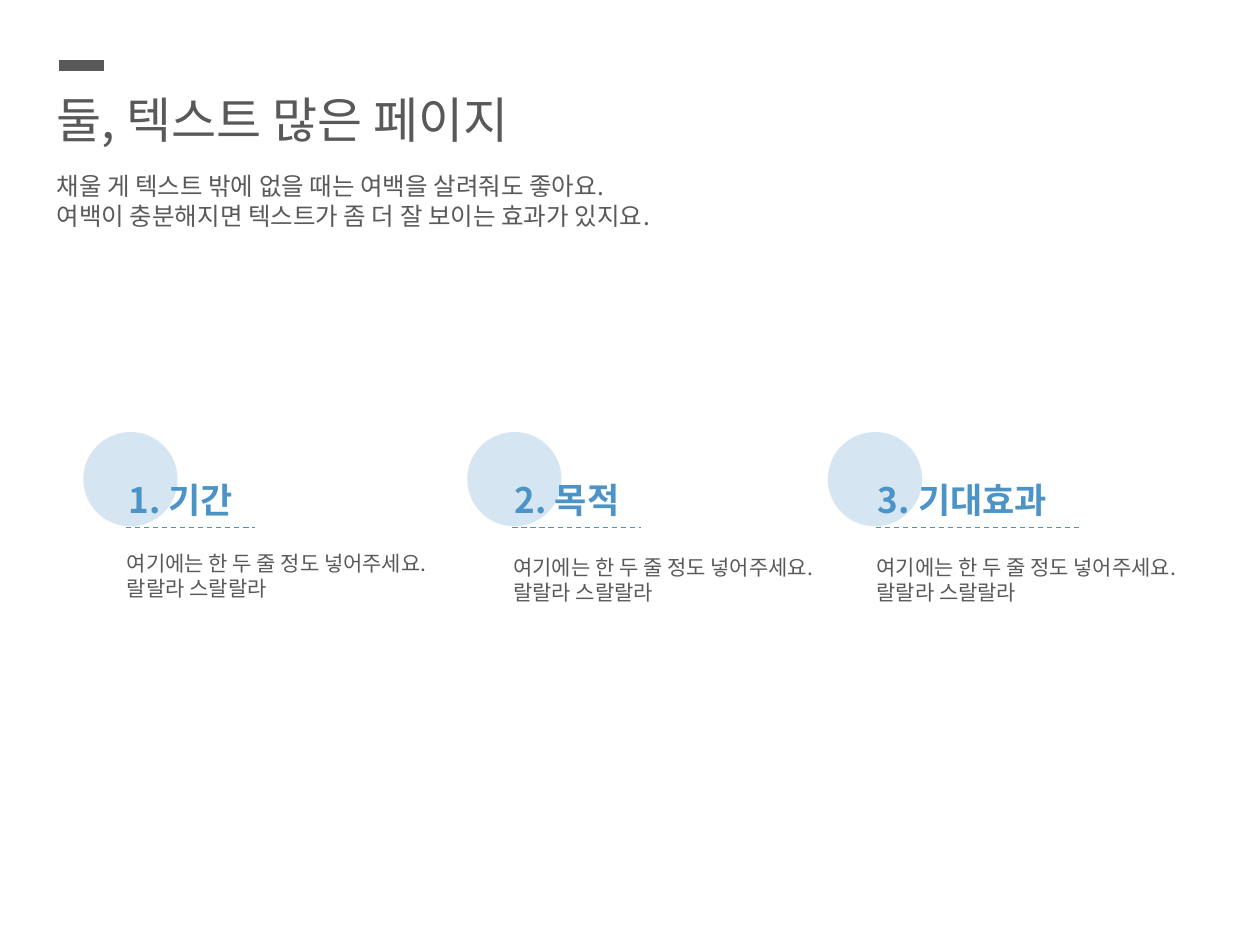
from lxml.etree import SubElement
from pptx import Presentation
from pptx.dml.color import RGBColor
from pptx.enum.dml import MSO_LINE
from pptx.enum.shapes import MSO_CONNECTOR, MSO_SHAPE
from pptx.enum.text import MSO_AUTO_SIZE
from pptx.oxml.ns import qn
from pptx.util import Cm, Pt

COLORS = {"text": "595959", "accent": "4C93C7"}
FONT = "Noto Sans CJK KR"
BODY = ["여기에는 한 두 줄 정도 넣어주세요.", "랄랄라 스랄랄라"]
COLUMNS = [
    {"left": 1.68, "indent": 0.66, "heading": "1. 기간", "width": 3, "rule": 2.6, "body_top": 2.26},
    {"left": 9.42, "indent": 0.71, "heading": "2. 목적", "width": 3, "rule": 2.6, "body_top": 2.34},
    {"left": 16.69, "indent": 0.76, "heading": "3. 기대효과", "width": 5.05, "rule": 4.1, "body_top": 2.34},
]


def add_text(page, left, top, width, height, lines, size, color="text", bold=None):
    box = page.shapes.add_textbox(Cm(left), Cm(top), Cm(width), Cm(height))
    frame = box.text_frame
    frame.word_wrap = True
    frame.auto_size = MSO_AUTO_SIZE.SHAPE_TO_FIT_TEXT
    frame.text = "\n".join(lines)
    for para in frame.paragraphs:
        font = para.font
        font.size = Pt(size)
        font.bold = bold
        font.color.rgb = RGBColor.from_string(COLORS[color])
        font.name = FONT
        defaults = para._p.pPr.find(qn("a:defRPr"))
        SubElement(defaults, qn("a:ea")).set("typeface", FONT)


def add_rule(page, left, top, width, weight, color, dash=None):
    rule = page.shapes.add_connector(
        MSO_CONNECTOR.STRAIGHT, Cm(left), Cm(top), Cm(left + width), Cm(top)
    )
    rule.line.color.rgb = RGBColor.from_string(COLORS[color])
    rule.line.width = Pt(weight)
    if dash:
        rule.line.dash_style = dash
    SubElement(rule._element.spPr, qn("a:effectLst"))


def add_circle(page, left, top, size):
    circle = page.shapes.add_shape(MSO_SHAPE.OVAL, Cm(left), Cm(top), Cm(size), Cm(size))
    circle.shadow.inherit = False
    circle.line.fill.background()
    circle.fill.solid()
    circle.fill.fore_color.rgb = RGBColor.from_string(COLORS["accent"])
    color = circle._element.spPr.find(qn("a:solidFill"))[0]
    SubElement(color, qn("a:alpha")).set("val", "23000")


def add_header(page, left, top, width):
    add_rule(page, left + 0.3, top, 0.91, 6, "text")
    add_text(page, left, top + 0.36, width, 1.45, ["둘, 텍스트 많은 페이지"], 28)
    add_text(page, left, top + 2.01, width, 1.45, [
        "채울 게 텍스트 밖에 없을 때는 여백을 살려줘도 좋아요.",
        "여백이 충분해지면 텍스트가 좀 더 잘 보이는 효과가 있지요.",
    ], 14)


def add_column(page, top, left, indent, heading, width, rule, body_top):
    text_left = left + indent
    add_circle(page, left, top, 1.9)
    add_text(page, text_left, top + 0.81, width, 1.11, [heading], 20, "accent", True)
    add_rule(page, text_left + 0.2, top + 1.93, rule, 0.75, "accent", MSO_LINE.DASH)
    add_text(page, text_left - 0.03, top + body_top, 6.5, 1.28, BODY, 12)


def main():
    deck = Presentation()
    deck.slide_width, deck.slide_height = Cm(25.4), Cm(19.05)
    page = deck.slides.add_slide(deck.slide_layouts[6])
    add_header(page, 0.89, 1.32, 14.2)
    for column in COLUMNS:
        add_column(page, 8.71, **column)
    deck.save("out.pptx")


if __name__ == "__main__":
    main()
